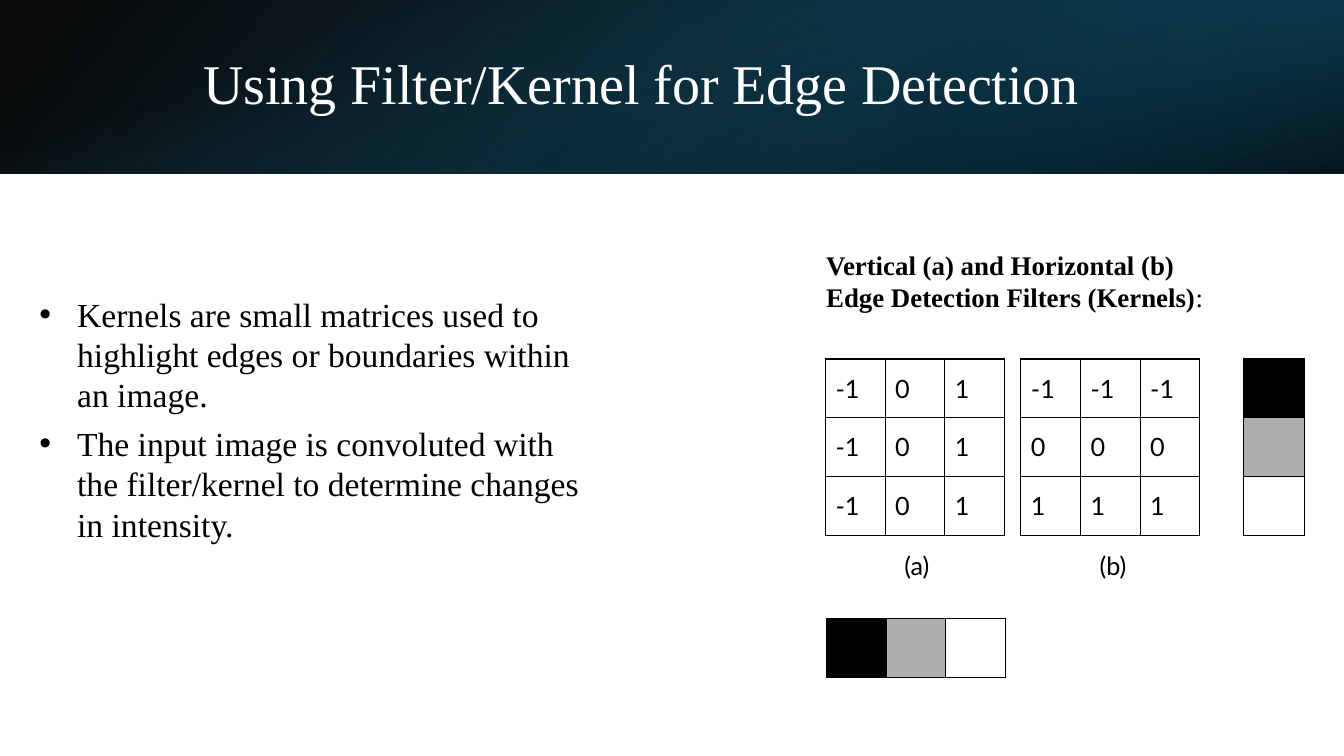
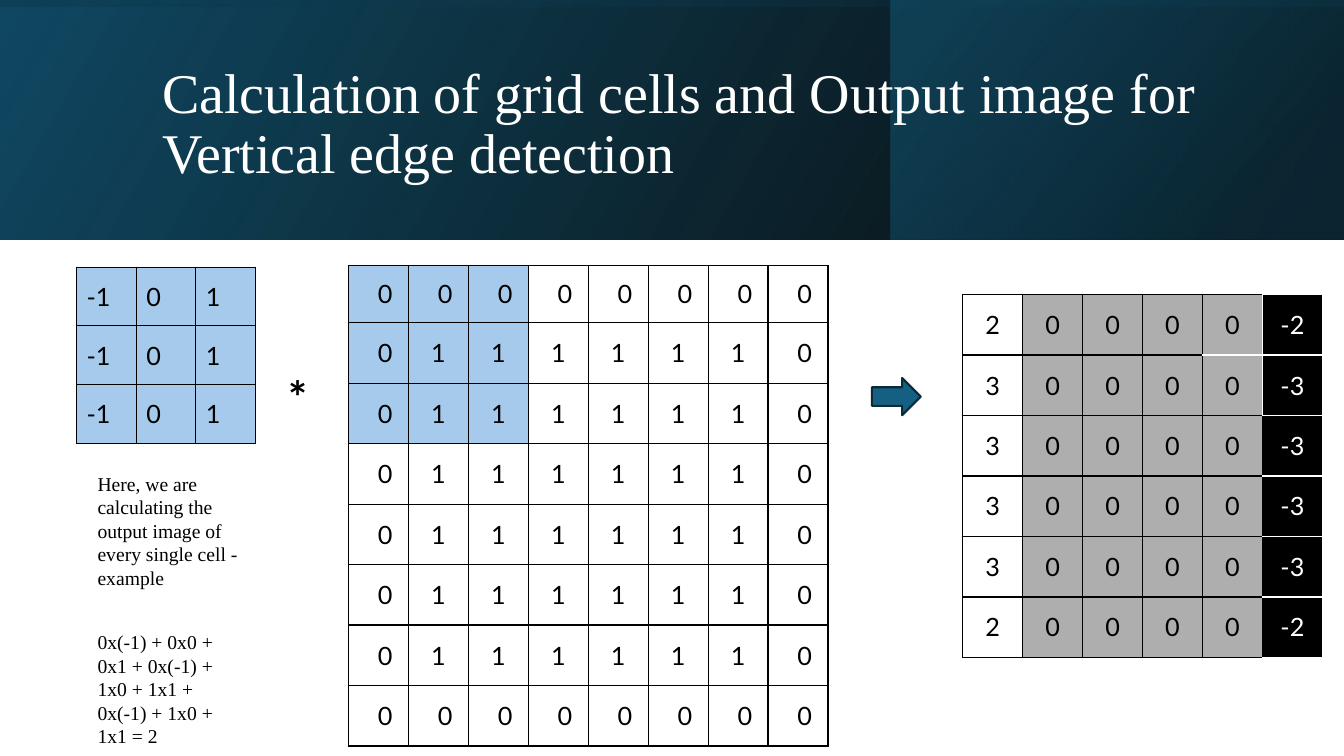
from dataclasses import dataclass

from lxml.etree import SubElement
from pptx import Presentation
from pptx.dml.color import RGBColor
from pptx.enum.shapes import MSO_SHAPE as Shape
from pptx.enum.text import MSO_ANCHOR as Anchor, MSO_AUTO_SIZE as AutoSize, PP_ALIGN as Align
from pptx.oxml.ns import qn
from pptx.util import Pt


@dataclass(frozen=True)
class Theme:
    black: str = "000000"
    white: str = "FFFFFF"
    gray: str = "AEAEAE"
    highlight: str = "A6CAEC"
    teal: str = "156082"
    navy: str = "104862"
    deep: str = "0B3041"
    outline: str = "092A39"
    serif: str = "Times New Roman"
    sans: str = "Lato"
    title_size: float = 40
    list_size: float = 24
    heading_size: float = 19.2
    grid_size: float = 18
    note_size: float = 14
    operator_size: float = 32


THEME = Theme()
WIDTH, HEIGHT = 960, 540
VERTICAL_KERNEL = [["-1", "0", "1"]] * 3
HORIZONTAL_KERNEL = [[value] * 3 for value in ("-1", "0", "1")]


# Shared helpers
def apply(target, values):
    for name, value in values.items():
        setattr(target, name, value)


def style_font(font, size, name=THEME.serif, color=THEME.black, bold=False):
    apply(font, {"size": Pt(size), "name": name, "bold": bold})
    font.color.rgb = RGBColor.from_string(color)


def points(box):
    return [Pt(value) for value in box]


def place(shape, box):
    apply(shape, dict(zip(("left", "top", "width", "height"), points(box))))


def add_run(paragraph, text, **font_format):
    run = paragraph.add_run()
    run.text = text
    style_font(run.font, **font_format)


def draw_text(slide, box, paragraphs, space_after=0, wrap=True):
    """Each paragraph is a list of (text, font format) runs."""
    frame = slide.shapes.add_textbox(*points(box)).text_frame
    apply(frame, {"word_wrap": wrap, "auto_size": AutoSize.NONE})
    for index, runs in enumerate(paragraphs):
        paragraph = frame.add_paragraph() if index else frame.paragraphs[0]
        paragraph.space_after = Pt(space_after)
        for text, font_format in runs:
            add_run(paragraph, text, **font_format)


# Title band: layered transparent gradients
def draw_band(slide, height, layers):
    for left, rotation, flipped, angle, stops in layers:
        width = WIDTH - left
        box = (left, 0, width, height)
        if rotation in (90, 270):
            box = ((width - height) / 2, (height - width) / 2, height, width)
        shape = slide.shapes.add_shape(Shape.RECTANGLE, *points(box))
        apply(shape, {"rotation": rotation})
        shape.shadow.inherit = False
        shape.line.fill.background()
        shape.fill.gradient()
        shape.fill.gradient_angle = 360 - angle
        properties = shape.element.spPr
        if flipped:
            properties.find(qn("a:xfrm")).set("flipH", "1")
        for stop, (position, color, _) in zip(shape.fill.gradient_stops, stops):
            stop.position = position / 100
            stop.color.rgb = RGBColor.from_string(color)
        for color_element, (_, _, opacity) in zip(properties.iter(qn("a:srgbClr")), stops):
            SubElement(color_element, qn("a:alpha")).set("val", str(opacity * 1000))


def draw_title(slide, box, text, inset=7.2):
    title = slide.shapes.title
    place(title, box)
    frame = title.text_frame
    apply(frame, {"word_wrap": True, "auto_size": AutoSize.NONE,
                  "vertical_anchor": Anchor.MIDDLE, "margin_left": Pt(inset)})
    paragraph = frame.paragraphs[0]
    apply(paragraph, {"alignment": Align.LEFT, "line_spacing": 0.9})
    add_run(paragraph, text, size=THEME.title_size, color=THEME.white)
    # Bring the title in front of the band
    slide.shapes.element.append(title.element)


def draw_list(slide, box, items):
    body = slide.placeholders[1]
    place(body, box)
    frame = body.text_frame
    apply(frame, {"word_wrap": True, "auto_size": AutoSize.NONE,
                  "vertical_anchor": Anchor.TOP})
    for index, item in enumerate(items):
        paragraph = frame.add_paragraph() if index else frame.paragraphs[0]
        apply(paragraph, {"space_before": Pt(0), "space_after": Pt(6)})
        properties = paragraph._p.get_or_add_pPr()
        properties.set("marL", str(Pt(27)))
        properties.set("indent", str(Pt(-27)))
        add_run(paragraph, item, size=THEME.list_size)


# Grids
def draw_border(cell, colors):
    properties = cell._tc.get_or_add_tcPr()
    for index, side in enumerate("LRTB"):
        color = colors.get(side, THEME.black)
        line = SubElement(properties, qn(f"a:ln{side}"))
        properties.insert(index, line)
        line.set("w", str(Pt(1)))
        if color is None:
            SubElement(line, qn("a:noFill"))
        else:
            fill = SubElement(line, qn("a:solidFill"))
            SubElement(fill, qn("a:srgbClr")).set("val", color)


def draw_grid(slide, box, values, format_cell=lambda row, column: {}, first_height=None):
    """Draw equal cells; format_cell gives fill, color, align, inset and borders."""
    row_count, column_count = len(values), len(values[0])
    table = slide.shapes.add_table(row_count, column_count, *points(box)).table
    apply(table, {"first_row": False, "horz_banding": False})
    for column in table.columns:
        column.width = Pt(box[2] / column_count)
    first = first_height or box[3] / row_count
    for index, row in enumerate(table.rows):
        row.height = Pt((box[3] - first) / (row_count - 1) if index else first)
    for row, texts in enumerate(values):
        for column, text in enumerate(texts):
            cell = table.cell(row, column)
            look = format_cell(row, column)
            apply(cell, {"vertical_anchor": Anchor.MIDDLE,
                         "margin_left": Pt(look.get("inset", 7.2))})
            if "fill" in look:
                cell.fill.solid()
                cell.fill.fore_color.rgb = RGBColor.from_string(look["fill"])
            else:
                cell.fill.background()
            paragraph = cell.text_frame.paragraphs[0]
            paragraph.alignment = look.get("align", Align.LEFT)
            if text:
                add_run(paragraph, text, size=THEME.grid_size, name=THEME.sans,
                        color=look.get("color", THEME.black))
            draw_border(cell, look.get("borders", {}))


def highlight_cell(row, column):
    return {"fill": THEME.highlight} if row < 3 and column < 3 else {}


def shade_cell(row, column):
    """Black, gray, then white, along a single row or column."""
    return {"fill": (THEME.black, THEME.gray, THEME.white)[row + column]}


def input_cell(row, column):
    edge = row in (0, 7) or column in (0, 7)
    layout = {"inset": 21} if edge else {"align": Align.CENTER}
    return {**highlight_cell(row, column), **layout}


def output_cell(row, column):
    look = {"align": Align.CENTER}
    if column == 5:
        look.update(fill=THEME.black, color=THEME.white, borders={
            "L": THEME.white if row < 2 else None, "R": None,
            "T": THEME.white if row else None,
            "B": THEME.white if row < 5 else None})
    elif column:
        look["fill"] = THEME.gray
    if column == 4:
        look["borders"] = {"R": THEME.white if row < 2 else None}
        if row < 2:
            look["borders"]["T" if row else "B"] = THEME.white
    return look


# Slides
def build_kernel_slide(presentation):
    slide = presentation.slides.add_slide(presentation.slide_layouts[1])
    draw_band(slide, 124, [
        (0, 0, True, 140, [(0, THEME.black, 96), (100, THEME.navy, 100)]),
        (640, 180, True, 320, [(19, THEME.deep, 68), (100, THEME.teal, 79)]),
        (0, 90, False, 340, [(23, THEME.teal, 0), (99, THEME.black, 74)]),
    ])
    draw_title(slide, (108, 27.4, 790.6, 69),
               "Using Filter/Kernel for Edge Detection", inset=37.2)
    draw_list(slide, (20.9, 206, 413, 258), [
        "Kernels are small matrices used to highlight edges or boundaries within an image.",
        "The input image is convoluted with the filter/kernel to determine changes in intensity.",
    ])
    heading = {"size": THEME.heading_size}
    draw_text(slide, (583, 174.2, 289.4, 54), [[
        ("Vertical (a) and Horizontal (b) Edge Detection Filters (Kernels)",
         {**heading, "bold": True}),
        (":", heading)]], space_after=6.7)

    # Kernels with their labels
    grid_top, side, grid_height = 256.4, 127.8, 126
    label = {"size": THEME.grid_size, "name": THEME.sans}
    for left, name, kernel in ((589.7, "(a)", VERTICAL_KERNEL),
                               (729.2, "(b)", HORIZONTAL_KERNEL)):
        draw_grid(slide, (left, grid_top, side, grid_height), kernel)
        draw_text(slide, (left + 49.2, grid_top + 133, 35, 29), [[(name, label)]], wrap=False)

    # Shade strips
    draw_grid(slide, (590.4, 442, side, 42), [[""] * 3], shade_cell)
    draw_grid(slide, (888.5, grid_top, 43.5, grid_height), [[""]] * 3, shade_cell)


def build_calculation_slide(presentation):
    slide = presentation.slides.add_slide(presentation.slide_layouts[5])
    draw_band(slide, 171, [
        (0, 0, True, 330, [(0, THEME.black, 96), (100, THEME.navy, 100)]),
        (636, 0, True, 320, [(19, THEME.deep, 68), (100, THEME.teal, 48)]),
        (0, 270, True, 350, [(23, THEME.navy, 16), (99, THEME.black, 45)]),
    ])
    draw_title(slide, (108.7, 27.4, 765.4, 124),
               "Calculation of grid cells and Output image for Vertical edge detection")

    # Kernel * input
    draw_grid(slide, (54.7, 190.8, 127.8, 126), VERTICAL_KERNEL, highlight_cell)
    draw_text(slide, (198.7, 260.6, 100.8, 46), [[
        ("*", {"size": THEME.operator_size, "name": THEME.sans, "bold": True})]], space_after=6)
    border_row = ["0"] * 8
    image = [border_row] + [["0"] + ["1"] * 6 + ["0"]] * 6 + [border_row]
    draw_grid(slide, (249, 189.7, 342.6, 343.2), image, input_cell, first_height=40.8)

    # Arrow to the output
    arrow = slide.shapes.add_shape(Shape.RIGHT_ARROW, *points((622.8, 270, 34.9, 26.6)))
    arrow.shadow.inherit = False
    arrow.fill.solid()
    arrow.fill.fore_color.rgb = RGBColor.from_string(THEME.teal)
    arrow.line.color.rgb = RGBColor.from_string(THEME.outline)
    arrow.line.width = Pt(1.5)
    output = [[value] + ["0"] * 4 + ["-" + value] for value in "233332"]
    draw_grid(slide, (687.6, 210.4, 257, 259.2), output, output_cell)

    # Worked example
    note = {"size": THEME.note_size}
    draw_text(slide, (62.6, 333.4, 114.5, 206), [
        [("Here, we are calculating the output image of every single cell - example", note)],
        [("0x(-1) + 0x0 + 0x1 + 0x(-1) + 1x0 + 1x1 + 0x(-1) + 1x0 + 1x1 = 2", note)],
    ], space_after=29)


def main():
    presentation = Presentation()
    apply(presentation, {"slide_width": Pt(WIDTH), "slide_height": Pt(HEIGHT)})
    build_kernel_slide(presentation)
    build_calculation_slide(presentation)
    presentation.save("out.pptx")


if __name__ == "__main__":
    main()
